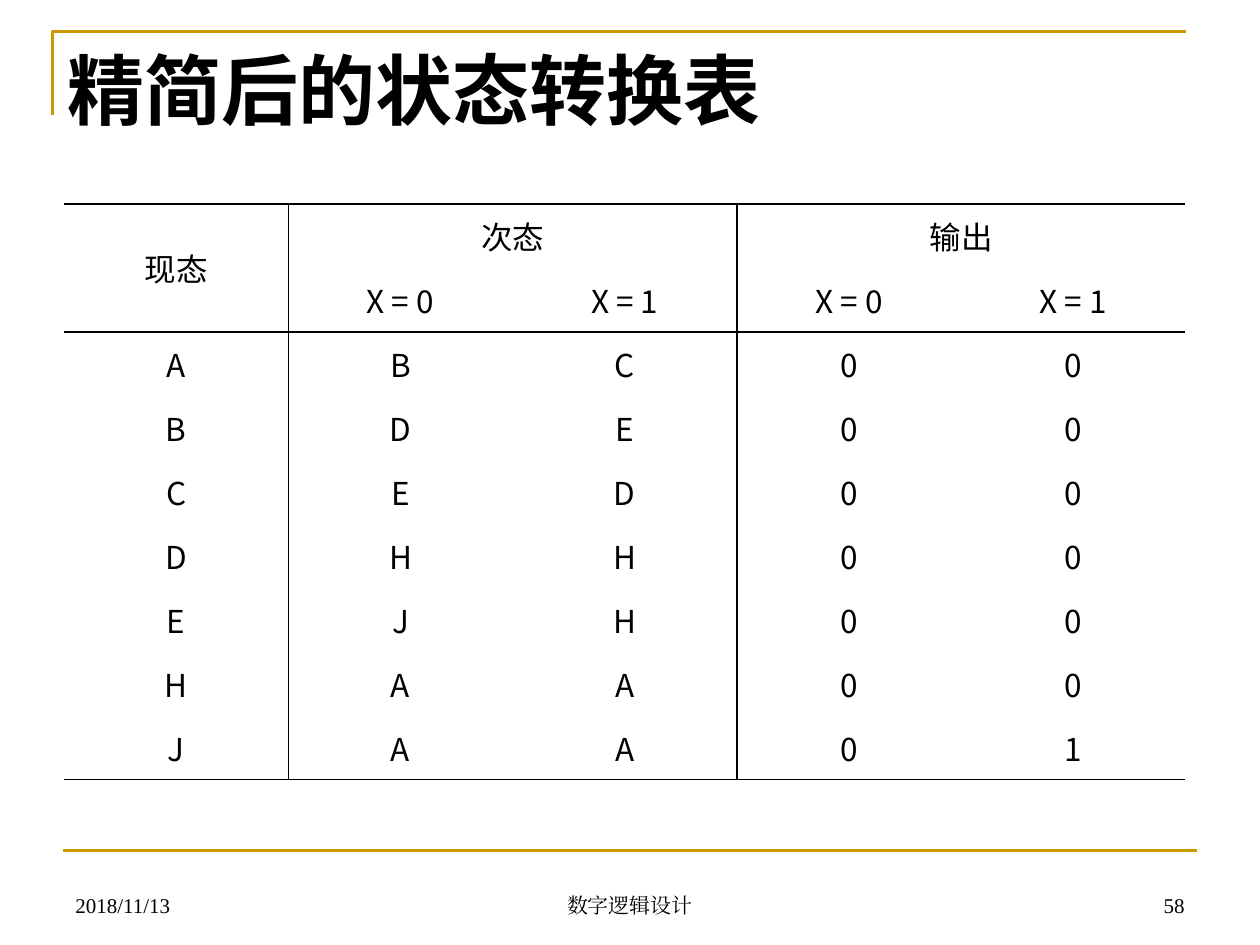
from lxml import etree
from pptx import Presentation
from pptx.dml.color import RGBColor
from pptx.enum.shapes import MSO_CONNECTOR
from pptx.enum.text import MSO_ANCHOR, MSO_AUTO_SIZE, PP_ALIGN
from pptx.oxml.ns import qn
from pptx.util import Inches, Pt

LEFT, MID, RIGHT = PP_ALIGN.LEFT, PP_ALIGN.CENTER, PP_ALIGN.RIGHT
TOP, CENTRE, BASE = MSO_ANCHOR.TOP, MSO_ANCHOR.MIDDLE, MSO_ANCHOR.BOTTOM
GROW = MSO_AUTO_SIZE.SHAPE_TO_FIT_TEXT
LINE = MSO_CONNECTOR.STRAIGHT

HUES = {"ink": "000000", "gold": "CC9900"}
SANS, SERIF = "Noto Sans CJK SC", "Times New Roman"
PLAIN = "{2D5ABB26-0587-4C30-8999-92F81FD0307C}"
UNIT = Inches(1) / 12

HEAD = [
    ["现态", "次态", "", "输出", ""],
    ["", "X = 0", "X = 1", "X = 0", "X = 1"],
]
STATES = ["ABC00", "BDE00", "CED00", "DHH00", "EJH00", "HAA00", "JAA01"]
SPANS = [(0, 0, 1, 0), (0, 1, 0, 2), (0, 3, 0, 4)]
ROW_RULES = {0, 2, 9}
COL_RULES = {1, 3}


def hue(name):
    return RGBColor.from_string(HUES[name])


def grid(*steps):
    return [round(step * UNIT) for step in steps]


def write(frame, text, size=18, face=SANS, bold=False, align=LEFT, anchor=TOP):
    frame.word_wrap = True
    frame.vertical_anchor = anchor
    para = frame.paragraphs[0]
    para.alignment = align
    run = para.add_run()
    run.text = text
    font = run.font
    font.size, font.name, font.bold = Pt(size), face, bold
    font.color.rgb = hue("ink")
    east = etree.SubElement(font._element, qn("a:ea"))
    east.set("typeface", face)


def edge(cell, side, spot, shown):
    line = etree.Element(qn(f"a:ln{side}"), w=str(Pt(1)))
    if shown:
        fill = etree.SubElement(line, qn("a:solidFill"))
        etree.SubElement(fill, qn("a:srgbClr"), val=HUES["ink"])
    else:
        etree.SubElement(line, qn("a:noFill"))
    cell._tc.get_or_add_tcPr().insert(spot, line)


class Page:
    def __init__(self, deck):
        self.slide = deck.slides.add_slide(deck.slide_layouts[5])
        self.shapes = self.slide.shapes

    def ink(self, shape):
        shape.line.color.rgb = hue("gold")
        shape.line.width = Pt(1.5)

    def frame(self, start, *rest):
        pen = self.shapes.build_freeform(*grid(*start))
        pen.add_line_segments([grid(*spot) for spot in rest], close=False)
        shape = pen.convert_to_shape()
        shape.fill.background()
        shape.shadow.inherit = False
        self.ink(shape)

    def rule(self, *ends):
        line = self.shapes.add_connector(LINE, *grid(*ends))
        etree.SubElement(line._element.spPr, qn("a:effectLst"))
        self.ink(line)
        line._element.spPr.append(line._element.spPr.find(qn("a:effectLst")))

    def title(self, text, *box):
        shape = self.shapes.title
        shape.left, shape.top, shape.width, shape.height = grid(*box)
        write(shape.text_frame, text, size=44, bold=True)
        shape.text_frame.auto_size = GROW

    def note(self, text, align, *box):
        frame = self.shapes.add_textbox(*grid(*box)).text_frame
        write(frame, text, size=12, face=SERIF, align=align, anchor=BASE)

    def table(self, rows, *box):
        shape = self.shapes.add_table(len(rows), len(rows[0]), *grid(*box))
        table = shape.table
        table.first_row = table.horz_banding = False
        table._tbl.tblPr.find(qn("a:tableStyleId")).text = PLAIN
        for top, left, low, right in SPANS:
            table.cell(top, left).merge(table.cell(low, right))
        for r, row in enumerate(rows):
            for c, text in enumerate(row):
                self.cell(table.cell(r, c), r, c, text)

    def cell(self, cell, r, c, text):
        cell.fill.background()
        cell.margin_left = cell.margin_right = Inches(0.07)
        cell.margin_top = cell.margin_bottom = 0
        cell.vertical_anchor = CENTRE
        if text:
            write(cell.text_frame, text, align=MID)
        low = r + (cell.span_height if cell.is_merge_origin else 1)
        right = c + (cell.span_width if cell.is_merge_origin else 1)
        shown = {
            "L": c in COL_RULES,
            "R": right in COL_RULES,
            "T": r in ROW_RULES,
            "B": low in ROW_RULES,
        }
        for spot, (side, on) in enumerate(shown.items()):
            edge(cell, side, spot, on)


def main():
    deck = Presentation()
    deck.slide_width, deck.slide_height = grid(120, 90)
    page = Page(deck)
    page.frame((5, 11), (5, 3), (113, 3))
    page.rule(6, 81, 114, 81)
    page.note("2018/11/13", LEFT, 6, 82, 28, 6)
    page.note("数字逻辑设计", MID, 41, 82, 38, 6)
    page.note("58", RIGHT, 86, 82, 28, 6)
    page.title("精简后的状态转换表", 5.2, 3.4, 110.5, 10)
    page.table(HEAD + STATES, 6.1, 19.45, 106.8, 54.8)
    deck.save("out.pptx")


if __name__ == "__main__":
    main()
